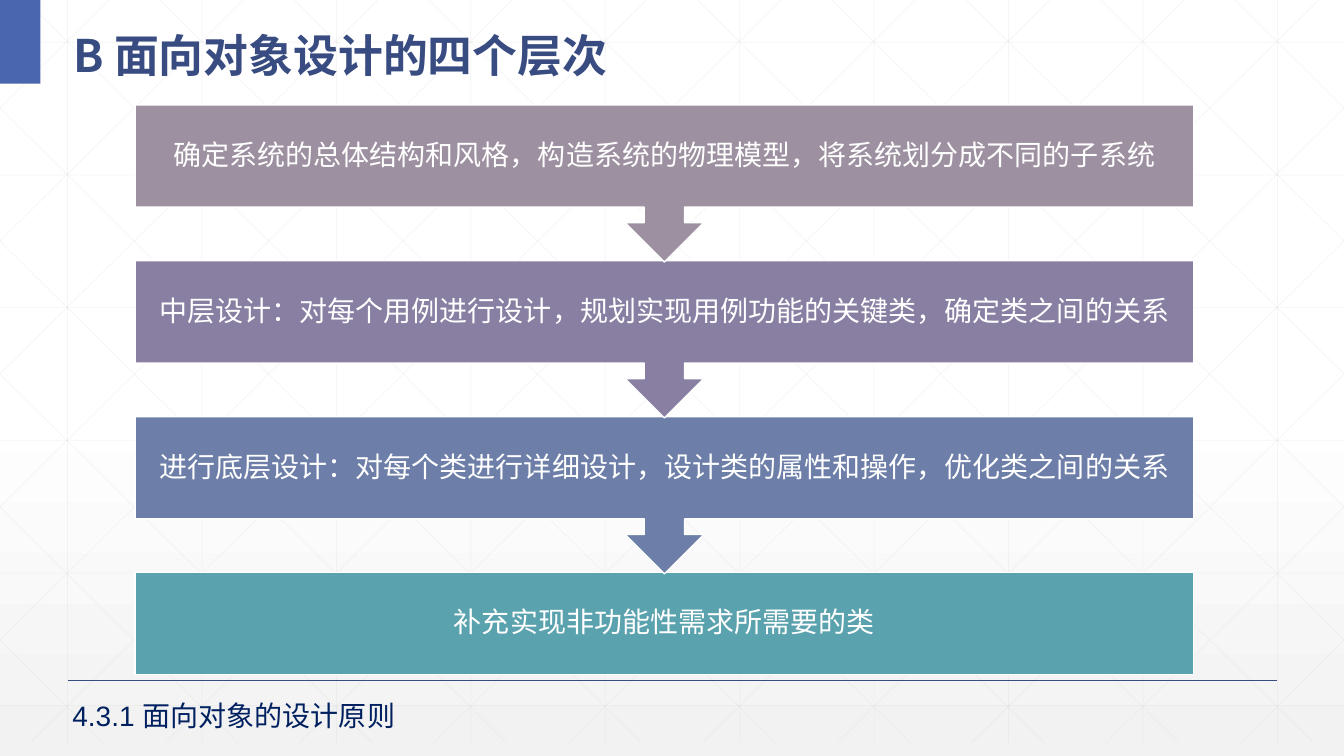
from lxml import etree
from pptx import Presentation
from pptx.dml import color
from pptx.enum import shapes, text
from pptx.oxml import ns
from pptx import util as u

COLORS = {
    "navy": "384C81", "accent": "4A66AC", "footer": "002060",
    "white": "FFFFFF", "mist": "F2F2F2", "grid": "D9D9D9",
    "mauve": "9D90A0", "violet": "887FA3", "slate": "6D7FA8", "teal": "5AA2AE",
}
CJK = "Noto Sans CJK SC"
WIDTH, HEIGHT = 13.33, 7.5


def rgb(name):
    return color.RGBColor.from_string(COLORS[name])


def write(frame, words, *, size=20, font="Arial", ink="white", bold=False,
          align=None, spacing=None, anchor=text.MSO_ANCHOR.MIDDLE, insets=None):
    frame.word_wrap = True
    frame.vertical_anchor = anchor
    if insets:
        (frame.margin_left, frame.margin_top,
         frame.margin_right, frame.margin_bottom) = map(u.Inches, insets)
    paragraph = frame.paragraphs[0]
    paragraph.alignment = align
    paragraph.line_spacing = spacing
    run = paragraph.add_run()
    run.text = words
    run.font.size = u.Pt(size)
    run.font.name = font
    run.font.bold = bold
    run.font.color.rgb = rgb(ink)
    east_asian = etree.SubElement(run.font._element, ns.qn("a:ea"))
    east_asian.set("typeface", CJK)


class LayerSlide:
    """Draws the parts of the design-layers slide in one style."""

    def __init__(self, deck):
        self.slide = deck.slides.add_slide(deck.slide_layouts[6])
        self.shapes = self.slide.shapes

    def background(self):
        fill = self.slide.background.fill
        fill.gradient()
        fill.gradient_angle = 270
        for stop, (position, shade) in zip(
                fill.gradient_stops, [(0.53, "white"), (1, "mist")]):
            stop.position = position
            stop.color.rgb = rgb(shade)

    def line(self, start, end, ink, weight, opacity=None):
        rule = self.shapes.add_connector(
            shapes.MSO_CONNECTOR.STRAIGHT, *map(u.Inches, (*start, *end)))
        rule.line.color.rgb = rgb(ink)
        rule.line.width = u.Pt(weight)
        properties = rule._element.spPr
        if opacity:
            tint = next(properties.iter(ns.qn("a:srgbClr")))
            etree.SubElement(tint, ns.qn("a:alpha")).set("val", str(opacity * 1000))
        etree.SubElement(properties, ns.qn("a:effectLst"))

    def grid(self):
        bottom, slope, column, row = 7.37, 0.99, 4 / 3, 1.316
        segments = [((0.67 + column * i, 0), (0.67 + column * i, bottom))
                    for i in range(10)]
        segments += [((0, 0.42 + row * i), (WIDTH, 0.42 + row * i))
                     for i in range(6)]
        for i in range(-5, 10):
            origin = 0.25 + column * i
            left = max(origin, 0)
            right = min(origin + bottom / slope, WIDTH)
            top, low = (left - origin) * slope, (right - origin) * slope
            segments.append(((left, top), (right, low)))
            segments.append(((WIDTH - left, top), (WIDTH - right, low)))
        for start, end in segments:
            self.line(start, end, "grid", 0.5, opacity=25)

    def block(self, left, top, width, height, ink):
        corner = self.shapes.add_shape(
            shapes.MSO_SHAPE.RECTANGLE, *map(u.Inches, (left, top, width, height)))
        corner.shadow.inherit = False
        corner.fill.solid()
        corner.fill.fore_color.rgb = rgb(ink)
        corner.line.fill.background()

    def label(self, left, top, width, height, words, **style):
        box = self.shapes.add_textbox(*map(u.Inches, (left, top, width, height)))
        write(box.text_frame, words, **style)

    def layer(self, top, words, ink, arrow):
        left, right, middle = 1.34, 11.84, 6.59
        base = top + 1.015
        outline = [(left, top), (right, top), (right, base)]
        if arrow:
            neck, tip = top + 1.17, top + 1.56
            outline += [(middle + 0.2, base), (middle + 0.2, neck),
                        (middle + 0.39, neck), (middle, tip),
                        (middle - 0.39, neck), (middle - 0.2, neck),
                        (middle - 0.2, base)]
        outline.append((left, base))
        points = [(u.Inches(x), u.Inches(y)) for x, y in outline]
        builder = self.shapes.build_freeform(*points[0])
        builder.add_line_segments(points[1:], close=True)
        bar = builder.convert_to_shape()
        bar.shadow.inherit = False
        bar.fill.solid()
        bar.fill.fore_color.rgb = rgb(ink)
        bar.line.color.rgb = rgb("white")
        bar.line.width = u.Pt(1)
        write(bar.text_frame, words, align=text.PP_ALIGN.CENTER, spacing=0.9,
              insets=(0.16, 0.16, 0.16, 0.7 if arrow else 0.16))


LAYERS = [
    ("确定系统的总体结构和风格，构造系统的物理模型，将系统划分成不同的子系统", "mauve"),
    ("中层设计：对每个用例进行设计，规划实现用例功能的关键类，确定类之间的关系", "violet"),
    ("进行底层设计：对每个类进行详细设计，设计类的属性和操作，优化类之间的关系", "slate"),
    ("补充实现非功能性需求所需要的类", "teal"),
]


def main():
    deck = Presentation()
    deck.slide_width, deck.slide_height = u.Inches(WIDTH), u.Inches(HEIGHT)
    page = LayerSlide(deck)
    page.background()
    page.grid()
    page.line((0.67, 6.75), (12.67, 6.75), "navy", 1)
    page.block(0, 0, 0.4, 0.83, "accent")
    page.label(0.63, 0.1, 12.42, 0.73, "B 面向对象设计的四个层次",
               size=32, font=CJK, ink="navy", bold=True, spacing=1.3)
    last = len(LAYERS) - 1
    pitch = (5.68 - 1.04) / last
    for level, (words, ink) in reversed(list(enumerate(LAYERS))):
        page.layer(1.04 + pitch * level, words, ink, arrow=level < last)
    page.label(0.62, 6.88, 6.04, 0.44, "4.3.1 面向对象的设计原则",
               ink="footer", anchor=text.MSO_ANCHOR.TOP)
    deck.save("out.pptx")


if __name__ == "__main__":
    main()
